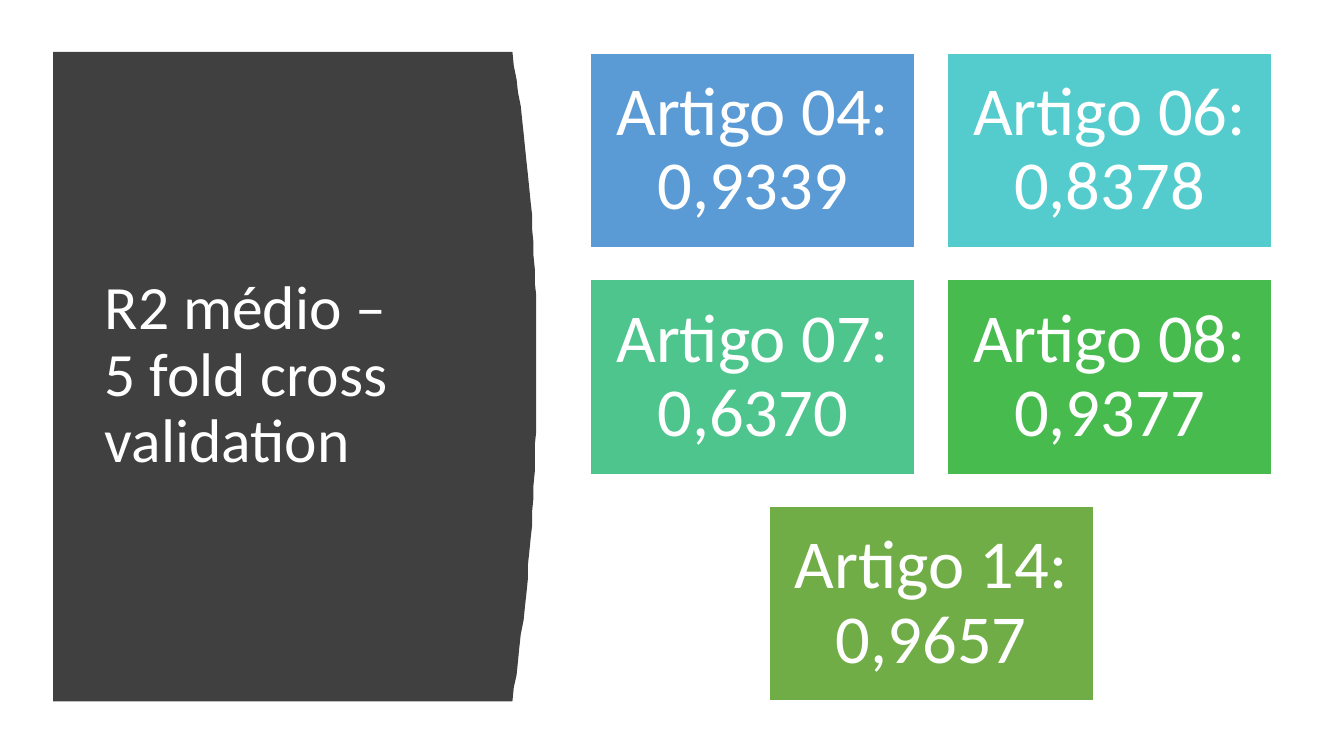
from dataclasses import dataclass

from pptx import Presentation
from pptx import util as u
from pptx.dml import color
from pptx.enum import shapes, text


@dataclass(frozen=True)
class Theme:
    font: str = "Calibri"
    title_size: float = 44
    card_size: float = 49
    panel: str = "404040"
    light: str = "FFFFFF"


@dataclass(frozen=True)
class Card:
    label: str
    fill: str


THEME = Theme()
CARDS = [
    Card("Artigo 04: 0,9339", "5B9BD5"),
    Card("Artigo 06: 0,8378", "54CCCD"),
    Card("Artigo 07: 0,6370", "4DC58D"),
    Card("Artigo 08: 0,9377", "48BB4F"),
    Card("Artigo 14: 0,9657", "70AD47"),
]

# Card grid, in points
COLUMNS = 2
GRID_LEFT, GRID_TOP = 422, 37.8
CARD_W, CARD_H = 231.5, 139
PITCH_X, PITCH_Y = 254.8, 162

# Panel outline, in points
PANEL_LEFT, PANEL_TOP, PANEL_BOTTOM = 38.2, 37.4, 501.1
CORNER_X, BULGE_X, BULGE_Y = 365.8, 383.1, 259
CURVE_STEPS = 48
CURVE_POWER = 2.2


def rgb(value: str) -> color.RGBColor:
    return color.RGBColor.from_string(value)


def write_text(sp, content: str, *, size: float, align, inset_x: float, inset_y: float) -> None:
    """Fill a shape with one vertically centred paragraph."""
    tf = sp.text_frame
    tf.word_wrap = True
    tf.auto_size = text.MSO_AUTO_SIZE.NONE
    tf.vertical_anchor = text.MSO_ANCHOR.MIDDLE
    tf.margin_left = tf.margin_right = u.Pt(inset_x)
    tf.margin_top = tf.margin_bottom = u.Pt(inset_y)
    p = tf.paragraphs[0]
    p.text = content
    p.alignment = align
    p.line_spacing = 0.9
    for r in p.runs:
        r.font.name = THEME.font
        r.font.size = u.Pt(size)
        r.font.color.rgb = rgb(THEME.light)


def panel_edge() -> list[tuple[float, float]]:
    """Points down the bulging right edge of the panel."""
    points = []
    for i in range(CURVE_STEPS + 1):
        y = PANEL_TOP + (PANEL_BOTTOM - PANEL_TOP) * i / CURVE_STEPS
        end = PANEL_TOP if y < BULGE_Y else PANEL_BOTTOM
        t = (y - BULGE_Y) / (end - BULGE_Y)
        points.append((BULGE_X - (BULGE_X - CORNER_X) * t ** CURVE_POWER, y))
    return points


def draw_panel(s) -> None:
    builder = s.shapes.build_freeform(PANEL_LEFT, PANEL_TOP, scale=float(u.Pt(1)))
    builder.add_line_segments(panel_edge() + [(PANEL_LEFT, PANEL_BOTTOM)], close=True)
    sp = builder.convert_to_shape()
    sp.shadow.inherit = False
    sp.fill.solid()
    sp.fill.fore_color.rgb = rgb(THEME.panel)
    sp.line.fill.background()


def draw_title(s) -> None:
    sp = s.shapes.add_textbox(u.Pt(67.7), u.Pt(80), u.Pt(269.3), u.Pt(377.3))
    write_text(sp, "R2 médio – \v5 fold cross validation", size=THEME.title_size,
               align=text.PP_ALIGN.LEFT, inset_x=7.2, inset_y=3.6)


def draw_card(s, card: Card, left: float, top: float) -> None:
    sp = s.shapes.add_shape(shapes.MSO_SHAPE.RECTANGLE,
                            u.Pt(left), u.Pt(top), u.Pt(CARD_W), u.Pt(CARD_H))
    sp.shadow.inherit = False
    sp.fill.solid()
    sp.fill.fore_color.rgb = rgb(card.fill)
    sp.line.color.rgb = rgb(THEME.light)
    sp.line.width = u.Pt(1)
    write_text(sp, card.label, size=THEME.card_size,
               align=text.PP_ALIGN.CENTER, inset_x=14.4, inset_y=14.4)


def draw_cards(s) -> None:
    for i, card in enumerate(CARDS):
        row, column = divmod(i, COLUMNS)
        # A short last row is centred
        in_row = min(COLUMNS, len(CARDS) - row * COLUMNS)
        shift = (COLUMNS - in_row) / 2
        draw_card(s, card, GRID_LEFT + (column + shift) * PITCH_X, GRID_TOP + row * PITCH_Y)


def main() -> None:
    prs = Presentation()
    prs.slide_width, prs.slide_height = u.Pt(960), u.Pt(540)
    s = prs.slides.add_slide(prs.slide_layouts[6])

    # Left: dark panel with the title
    draw_panel(s)
    draw_title(s)

    # Right: one card per article
    draw_cards(s)

    prs.save("out.pptx")


if __name__ == "__main__":
    main()
